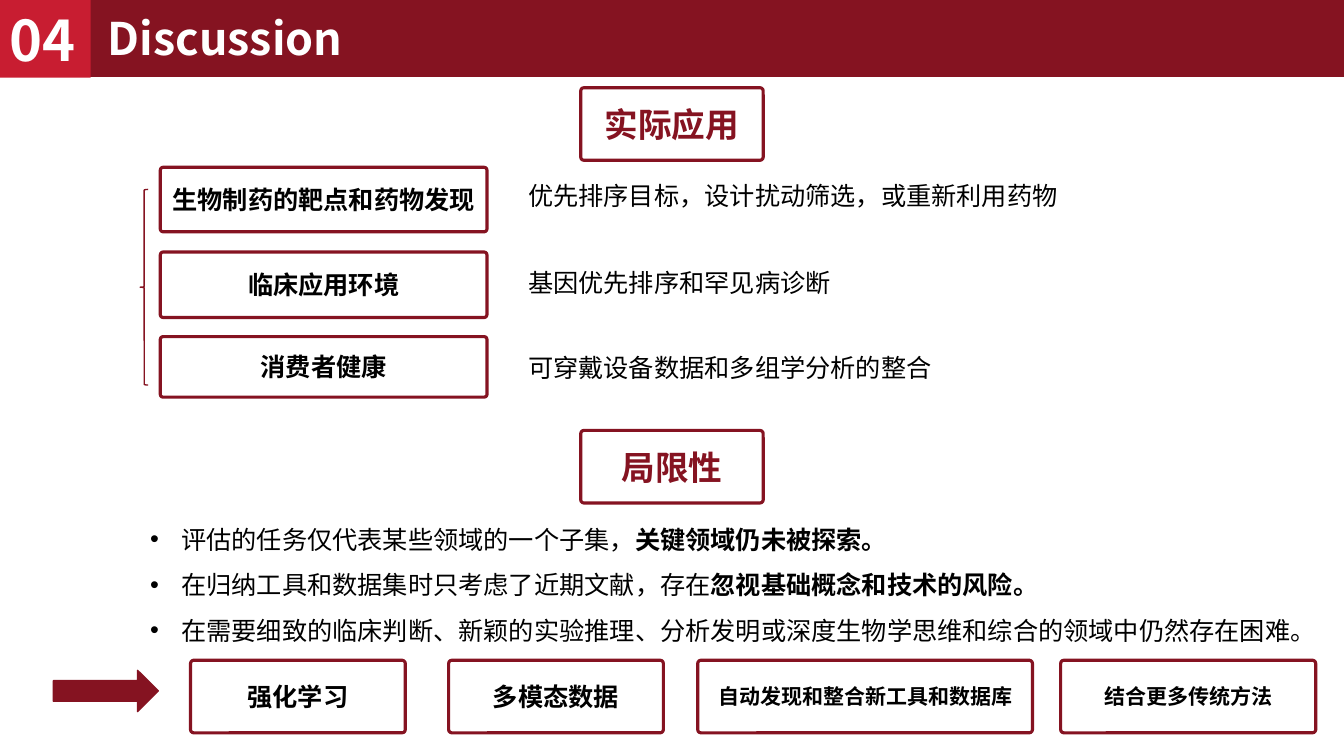
from lxml import etree
from pptx import Presentation
from pptx.dml.color import RGBColor
from pptx.enum.shapes import MSO_SHAPE
from pptx.enum.text import MSO_ANCHOR, PP_ALIGN
from pptx.oxml.ns import qn
from pptx.util import Inches, Pt

RECTANGLE = MSO_SHAPE.RECTANGLE
ROUNDED = MSO_SHAPE.ROUNDED_RECTANGLE
BRACE = MSO_SHAPE.LEFT_BRACE
ARROW = MSO_SHAPE.RIGHT_ARROW
LEFT, CENTER = PP_ALIGN.LEFT, PP_ALIGN.CENTER
TOP, MIDDLE = MSO_ANCHOR.TOP, MSO_ANCHOR.MIDDLE

COLORS = {"wine": "851321", "red": "C81D31", "black": "000000", "white": "FFFFFF"}


class SlideBuilder:
    """Holds the style and the current slide."""

    font_name = "Noto Sans CJK SC"

    def __init__(self, page):
        self.page = page

    def color(self, name):
        return RGBColor.from_string(COLORS[name])

    def span(self, para, text, size=18, color="black", bold=False):
        span = para.add_run()
        span.text = text
        span.font.color.rgb = self.color(color)
        formats = {"name": self.font_name, "size": Pt(size), "bold": bold}
        for key, value in formats.items():
            setattr(span.font, key, value)
        east_asian = etree.SubElement(span.font._element, qn("a:ea"))
        east_asian.set("typeface", self.font_name)

    def frame(self, box, anchor):
        formats = {"word_wrap": True, "vertical_anchor": anchor}
        for key, value in formats.items():
            setattr(box.text_frame, key, value)
        return box.text_frame

    def shape(self, kind, place, fill=None, line="wine", width=1):
        box = self.page.shapes.add_shape(kind, *map(Inches, place))
        box.shadow.inherit = False
        if fill:
            box.fill.solid()
            box.fill.fore_color.rgb = self.color(fill)
        else:
            box.fill.background()
        if line:
            box.line.color.rgb = self.color(line)
            box.line.width = Pt(width)
        else:
            box.line.fill.background()
        return box

    def label(self, box, text, align=CENTER, **style):
        para = self.frame(box, MIDDLE).paragraphs[0]
        para.alignment = align
        self.span(para, text, **style)

    def framed_label(self, place, text, **style):
        box = self.shape(ROUNDED, place, width=2.25)
        box.adjustments[0] = 0.044
        self.label(box, text, bold=True, **style)

    def text(self, place, text, **style):
        box = self.page.shapes.add_textbox(*map(Inches, place))
        self.span(self.frame(box, TOP).paragraphs[0], text, **style)

    def bullets(self, place, items):
        box = self.page.shapes.add_textbox(*map(Inches, place))
        frame = self.frame(box, TOP)
        for index, (plain, strong) in enumerate(items):
            para = frame.add_paragraph() if index else frame.paragraphs[0]
            para.line_spacing = 1.5
            properties = para._p.get_or_add_pPr()
            properties.set("marL", str(Inches(0.31)))
            properties.set("indent", str(Inches(-0.31)))
            etree.SubElement(properties, qn("a:buFont")).set("typeface", "Arial")
            etree.SubElement(properties, qn("a:buChar")).set("char", "•")
            self.span(para, plain)
            if strong:
                self.span(para, strong, bold=True)


def main():
    deck = Presentation()
    deck.slide_width, deck.slide_height = Inches(13.33), Inches(7.5)
    builder = SlideBuilder(deck.slides.add_slide(deck.slide_layouts[6]))

    # Section headings
    for top, heading in [(0.87, "实际应用"), (4.27, "局限性")]:
        builder.framed_label((5.76, top, 1.81, 0.72), heading, size=24, color="wine")

    # Applications and their explanations
    applications = [
        (1.66, 0.64, "生物制药的靶点和药物发现", 1.74, "优先排序目标，设计扰动筛选，或重新利用药物"),
        (2.5, 0.65, "临床应用环境", 2.6, "基因优先排序和罕见病诊断"),
        (3.34, 0.6, "消费者健康", 3.45, "可穿戴设备数据和多组学分析的整合"),
    ]
    for top, height, name, text_top, explanation in applications:
        builder.framed_label((1.59, top, 3.24, height), name)
        builder.text((5.14, text_top, 8.46, 0.4), explanation)
    builder.shape(BRACE, (1.39, 1.88, 0.08, 1.94))

    # Limitations
    builder.bullets((1.39, 5, 11.83, 1.49), [
        ("评估的任务仅代表某些领域的一个子集，", "关键领域仍未被探索。"),
        ("在归纳工具和数据集时只考虑了近期文献，存在", "忽视基础概念和技术的风险。"),
        ("在需要细致的临床判断、新颖的实验推理、分析发明或深度生物学思维和综合的领域中仍然存在困难。", ""),
    ])

    # Future directions
    builder.shape(ARROW, (0.53, 6.65, 1.04, 0.41), fill="wine")
    directions = [
        (1.89, 2.13, "强化学习", 18),
        (4.45, 2.13, "多模态数据", 18),
        (6.92, 3.32, "自动发现和整合新工具和数据库", 15),
        (10.52, 2.53, "结合更多传统方法", 15),
    ]
    for left, width, name, size in directions:
        builder.framed_label((left, 6.55, width, 0.72), name, size=size)

    # Title bar
    builder.shape(RECTANGLE, (0, 0, 13.33, 0.76), fill="wine")
    builder.text((0.97, 0.06, 12.42, 0.64), "Discussion", size=32, color="white", bold=True)
    number_box = builder.shape(RECTANGLE, (0, 0, 0.9, 0.77), fill="red", line=None)
    builder.label(number_box, "04", align=LEFT, size=40, color="white", bold=True)

    deck.save("out.pptx")


if __name__ == "__main__":
    main()
